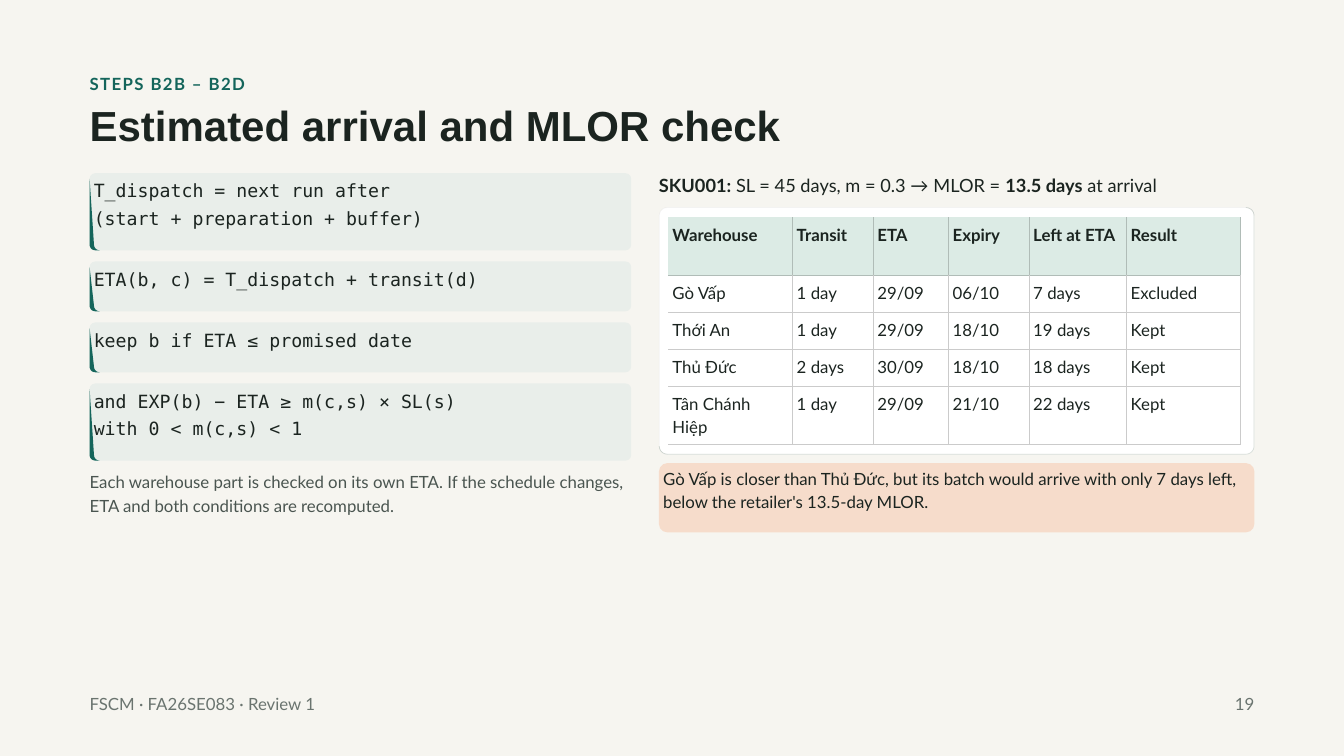
from math import cos, radians, sin

from lxml.etree import SubElement
from pptx import Presentation
from pptx.dml.color import RGBColor
from pptx.enum.shapes import MSO_SHAPE
from pptx.enum.text import MSO_ANCHOR, PP_ALIGN
from pptx.oxml.ns import qn
from pptx.util import Pt

COLORS = {
    "paper": "F6F5F0", "ink": "1B2420", "teal": "14655B", "muted": "4A5550",
    "footer": "6A746F", "formula": "E9EEEA", "white": "FFFFFF", "edge": "D5DCD7",
    "shade": "141413", "header": "DCEBE5", "header_rule": "B0BCB7",
    "rule": "CBCBCB", "note": "F6DCCB",
}
BODY = {"size": Pt(18), "name": "Lato", "bold": False}
STRONG = {**BODY, "bold": True}
TITLE = {"size": Pt(45), "name": "Arial", "bold": True}
CODE = {"size": Pt(19.5), "name": "DejaVu Sans Mono", "bold": False}
LEAD = {**BODY, "size": Pt(19.5)}
INSET = 4.5

FORMULAS = [
    ["T_dispatch = next run after", "(start + preparation + buffer)"],
    ["ETA(b, c) = T_dispatch + transit(d)"],
    ["keep b if ETA ≤ promised date"],
    ["and EXP(b) − ETA ≥ m(c,s) × SL(s)", "with 0 < m(c,s) < 1"],
]
EXAMPLE = [("SKU001:", True), (" SL = 45 days, m = 0.3 → MLOR = ", False),
           ("13.5 days", True), (" at arrival", False)]
WAREHOUSES = [
    ["Warehouse", "Transit", "ETA", "Expiry", "Left at ETA", "Result"],
    ["Gò Vấp", "1 day", "29/09", "06/10", "7 days", "Excluded"],
    ["Thới An", "1 day", "29/09", "18/10", "19 days", "Kept"],
    ["Thủ Đức", "2 days", "30/09", "18/10", "18 days", "Kept"],
    ["Tân Chánh Hiệp", "1 day", "29/09", "21/10", "22 days", "Kept"],
]
COLUMN_WIDTHS = [133.2, 86.4, 80.6, 86.4, 104.4, 122.4]
ROW_HEIGHTS = [62, 39.6, 39.6, 39.6, 63]


def rgb(color):
    return RGBColor.from_string(COLORS[color])


def add_span(para, text, style, color):
    span = para.add_run()
    span.text = text
    for name, value in style.items():
        setattr(span.font, name, value)
    span.font.color.rgb = rgb(color)
    return span


def add_text(page, box, lines, style, color, spacing, inset=0, align=PP_ALIGN.LEFT):
    frame = page.shapes.add_textbox(*map(Pt, box)).text_frame
    layout = {"word_wrap": True, "vertical_anchor": MSO_ANCHOR.TOP}
    layout.update({f"margin_{side}": Pt(inset) for side in ("left", "top", "right", "bottom")})
    for name, value in layout.items():
        setattr(frame, name, value)
    for index, line in enumerate(lines):
        para = frame.add_paragraph() if index else frame.paragraphs[0]
        para.line_spacing = Pt(spacing)
        para.alignment = align
        for text, bold in [(line, style["bold"])] if isinstance(line, str) else line:
            add_span(para, text, {**style, "bold": bold}, color)
    return frame


def paint(shape, color):
    shape.shadow.inherit = False
    shape.fill.solid()
    shape.fill.fore_color.rgb = rgb(color)
    shape.line.fill.background()
    return shape


def add_card(page, box, radius, color):
    card = page.shapes.add_shape(MSO_SHAPE.ROUNDED_RECTANGLE, *map(Pt, box))
    card.adjustments[0] = radius / min(box[2:])
    return paint(card, color)


def arc(center_x, center_y, radius, start, end, steps=8):
    angles = [radians(start + (end - start) * step / steps) for step in range(steps + 1)]
    return [(center_x + radius * cos(angle), center_y + radius * sin(angle)) for angle in angles]


def add_outline(page, left, top, points, color):
    corners = [(Pt(left + x), Pt(top + y)) for x, y in points]
    builder = page.shapes.build_freeform(*corners[0], scale=1.0)
    builder.add_line_segments(corners[1:], close=True)
    return paint(builder.convert_to_shape(), color)


def add_heading(page, box):
    left, top, width, _ = box
    kicker = add_text(page, (left, top, width, 31), ["STEPS B2B – B2D"], STRONG, "teal", 25.2)
    kicker.paragraphs[0].runs[0].font._element.set("spc", "150")
    add_text(page, (left, top + 36, width, 51), ["Estimated arrival and MLOR check"],
             TITLE, "ink", 49.5)


def add_formula(page, box, lines):
    left, top, width, height = box
    add_card(page, box, 6, "formula")
    add_text(page, (left, top - 3.4, width, height + 3.4), lines, CODE, "ink", 29.25, INSET)
    bar = arc(6, height - 6, 6, 90, 180) + [(0, 6)] + arc(10.7, height - 6, 6, 180, 90)
    add_outline(page, left, top, bar, "teal")


def add_rules(page, box):
    left, top, width, _ = box
    for lines in FORMULAS:
        height = 24.1 + 29.25 * len(lines)
        add_formula(page, (left, top, width, height), lines)
        top += height + 12
    note = ("Each warehouse part is checked on its own ETA. If the schedule changes, "
            "ETA and both conditions are recomputed.")
    add_text(page, (left, top - 3.5, 597.6, 56), [note], BODY, "muted", 25.2)


def add_panel(page, box):
    left, top, width, height = box
    add_card(page, box, 9, "white")
    right, bottom = width - 9, height - 9
    outer = arc(right, 9, 9, -90, 0) + arc(right, bottom, 9, 0, 90) + arc(9, bottom, 9, 90, 180)
    inner = arc(9, bottom, 8.25, 180, 90) + arc(right, bottom, 8.25, 90, 0) + arc(right, 9, 8.25, 0, -90)
    lower_edge = outer + inner
    upper_edge = [(width - x, height - y) for x, y in lower_edge]
    add_outline(page, left, top, lower_edge, "edge")
    shade = add_outline(page, left, top, upper_edge, "shade")
    fill_color = shade.fill._xPr.find(qn("a:solidFill"))[0]
    SubElement(fill_color, qn("a:alpha")).set("val", "5000")


def set_borders(cell, borders):
    properties = cell._tc.get_or_add_tcPr()
    for side, color in borders.items():
        line = SubElement(properties, qn(f"a:ln{side}"), w=str(Pt(1) if color else 0))
        if color:
            fill = SubElement(line, qn("a:solidFill"))
            SubElement(fill, qn("a:srgbClr")).set("val", COLORS[color])
        else:
            SubElement(line, qn("a:noFill"))


def fill_cell(cell, text, row, column):
    header = row == 0
    rule = "header_rule" if header else "rule"
    set_borders(cell, {
        "L": rule if column else None,
        "R": rule,
        "T": (None, "header_rule")[row] if row < 2 else "rule",
        "B": rule,
    })
    for side in ("left", "top", "right", "bottom"):
        setattr(cell, f"margin_{side}", Pt(INSET))
    if header:
        cell.fill.solid()
        cell.fill.fore_color.rgb = rgb("header")
    else:
        cell.fill.background()
    para = cell.text_frame.paragraphs[0]
    para.line_spacing = Pt(25.2)
    add_span(para, text, STRONG if header else BODY, "ink")


def add_warehouse_table(page, left, top):
    box = (left, top, sum(COLUMN_WIDTHS), sum(ROW_HEIGHTS))
    table = page.shapes.add_table(len(WAREHOUSES), len(COLUMN_WIDTHS), *map(Pt, box)).table
    table.first_row = table.horz_banding = False
    for column, width in zip(table.columns, COLUMN_WIDTHS):
        column.width = Pt(width)
    for row, height in zip(table.rows, ROW_HEIGHTS):
        row.height = Pt(height)
    for row, texts in enumerate(WAREHOUSES):
        for column, text in enumerate(texts):
            fill_cell(table.cell(row, column), text, row, column)


def add_example(page, box):
    left, top, width, _ = box
    add_text(page, (left, top, 657.4, 33), [EXAMPLE], LEAD, "ink", 27.3)
    add_panel(page, (left, top + 39, width, 265))
    add_warehouse_table(page, left + 10, top + 49.7)
    add_card(page, (left, top + 313.2, width, 74.2), 9, "note")
    note = ("Gò Vấp is closer than Thủ Đức, but its batch would arrive with only 7 days left, "
            "below the retailer's 13.5-day MLOR.")
    add_text(page, (left, top + 311, width, 76.4), [note], BODY, "ink", 25.2, INSET)


def add_footer(page, box):
    left, top, width, height = box
    add_text(page, (left, top, 695.5, height), ["FSCM · FA26SE083 · Review 1"],
             BODY, "footer", 25.2)
    add_text(page, (left + width - 156, top, 156, height), ["19"],
             BODY, "footer", 25.2, align=PP_ALIGN.RIGHT)


def main():
    deck = Presentation()
    deck.slide_width, deck.slide_height = Pt(1440), Pt(810)
    page = deck.slides.add_slide(deck.slide_layouts[6])
    page.background.fill.solid()
    page.background.fill.fore_color.rgb = rgb("paper")
    add_heading(page, (96, 75, 1285, 87))
    add_rules(page, (96, 185.6, 580.3, 374))
    add_example(page, (706, 183, 638, 388))
    add_footer(page, (96, 740, 1248, 31))
    deck.save("out.pptx")


if __name__ == "__main__":
    main()
